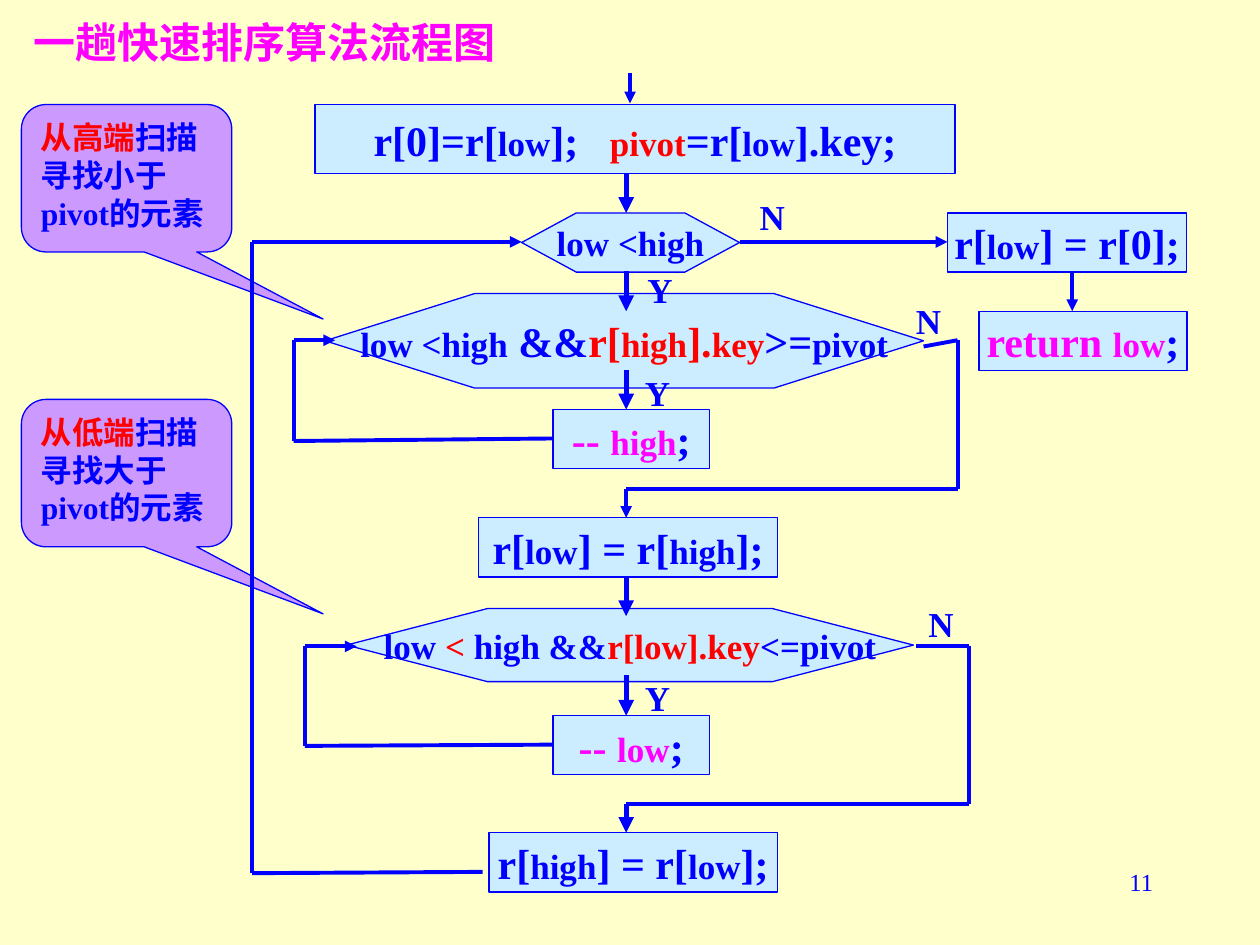
from lxml import etree
from pptx import Presentation
from pptx import util as u
from pptx.dml.color import RGBColor
from pptx.enum import shapes, text
from pptx.oxml.ns import qn

COLORS = {
    "page": "FFFFCC",
    "box": "CCECFF",
    "callout": "CC99FF",
    "blue": "0000FF",
    "red": "FF0000",
    "pink": "FF00FF",
}
FONT = "Times New Roman"
AXIS = 4.97
RECT = shapes.MSO_SHAPE.RECTANGLE
HEXAGON = shapes.MSO_SHAPE.HEXAGON
CALLOUT = shapes.MSO_SHAPE.ROUNDED_RECTANGULAR_CALLOUT
LEFT, CENTER, RIGHT = text.PP_ALIGN.LEFT, text.PP_ALIGN.CENTER, text.PP_ALIGN.RIGHT
TOP, MIDDLE = text.MSO_ANCHOR.TOP, text.MSO_ANCHOR.MIDDLE


def rgb(name):
    """Return the named palette colour."""
    return RGBColor.from_string(COLORS[name])


def inches(values):
    """Convert a sequence of numbers to lengths."""
    return [u.Inches(v) for v in values]


def write(sp, runs, align=LEFT, anchor=TOP, wrap=False, bold=True):
    """Fill a shape with runs of (text, size, colour[, letter spacing])."""
    tf = sp.text_frame
    tf.word_wrap = wrap
    tf.vertical_anchor = anchor
    p = tf.paragraphs[0]
    p.alignment = align
    for content, size, color, *spacing in runs:
        r = p.add_run()
        r.text = content
        r.font.name = FONT
        r.font.size = u.Pt(size)
        r.font.bold = bold
        r.font.color.rgb = rgb(color)
        if spacing:
            r._r.get_or_add_rPr().set("spc", str(spacing[0] * 100))


def add_node(s, kind, at, fill, adjustments=()):
    """Add a filled, thinly outlined shape."""
    sp = s.shapes.add_shape(kind, *inches(at))
    sp.shadow.inherit = False
    sp.fill.solid()
    sp.fill.fore_color.rgb = rgb(fill)
    sp.line.color.rgb = rgb("blue")
    sp.line.width = u.Pt(0.75)
    for i, value in enumerate(adjustments):
        sp.adjustments[i] = value
    return sp


def add_step(s, kind, at, runs, adjustments=()):
    """Add a flowchart step with centred text."""
    sp = add_node(s, kind, at, "box", adjustments)
    write(sp, runs, CENTER, MIDDLE)


def add_callout(s, top, end, relation):
    """Add a note about the scan starting at one end."""
    sp = add_node(s, CALLOUT, (0.17, top, 1.67, 1.17), "callout", (0.934, 0.955, 0.167))
    write(sp, [(f"从{end}端", 18, "red"), (f"扫描寻找{relation}于pivot的元素", 18, "blue")], wrap=True)


def add_label(s, at, runs, **style):
    """Add a text box."""
    write(s.shapes.add_textbox(*inches(at)), runs, **style)


def add_route(s, points, width=2.25, arrow=True):
    """Join points by straight lines, with an arrowhead at the last one."""
    for start, end in zip(points, points[1:]):
        c = s.shapes.add_connector(shapes.MSO_CONNECTOR.STRAIGHT, *inches(start + end))
        c.line.color.rgb = rgb("blue")
        c.line.width = u.Pt(width)
        if arrow and end == points[-1]:
            etree.SubElement(c.line._get_or_add_ln(), qn("a:tailEnd"), type="triangle")
        etree.SubElement(c._element.spPr, qn("a:effectLst"))


def add_steps(s):
    """Add every step of the flowchart."""
    add_step(s, RECT, (2.5, 0.83, 5.08, 0.55), [
        ("r[0]=r[", 24, "blue"), ("low", 20, "blue"), ("];", 24, "blue"),
        (" ", 24, "blue", 12), ("pivot", 20, "red"), ("=r[", 24, "blue"),
        ("low", 20, "blue"), ("].key;", 24, "blue")])
    add_step(s, HEXAGON, (4.14, 1.69, 1.73, 0.47), [("low <high", 20, "blue")], (0.924, 1.155))
    add_step(s, HEXAGON, (2.58, 2.33, 4.75, 0.75), [
        ("low <high", 20, "blue"), (" &&", 24, "blue"), ("r[", 24, "red"),
        ("high", 20, "red"), ("].", 24, "red"), ("key", 20, "red"),
        (">=", 24, "blue"), ("pivot", 20, "blue")], (1.583, 1.155))
    add_step(s, HEXAGON, (2.75, 4.83, 4.5, 0.58), [
        ("low", 20, "blue"), (" < ", 20, "red"), ("high &&", 20, "blue"),
        ("r[low].key", 20, "red"), ("<=pivot", 20, "blue")], (1.929, 1.155))
    for at, verb, name in [((4.39, 3.25, 1.24, 0.47), "-- ", "high"),
                           ((4.39, 5.68, 1.24, 0.47), "-- ", "low"),
                           ((7.77, 2.47, 1.65, 0.47), "return ", "low")]:
        add_step(s, RECT, at, [(verb, 24, "pink"), (name, 20, "pink"), (";", 24, "blue")])
    for at, target, source in [((3.8, 4.11, 2.37, 0.47), "low", "high"),
                               ((3.88, 6.61, 2.29, 0.47), "high", "low")]:
        add_step(s, RECT, at, [
            ("r[", 24, "blue"), (target, 20, "blue"), ("] = r[", 24, "blue"),
            (source, 20, "blue"), ("];", 24, "blue")])
    add_step(s, RECT, (7.52, 1.69, 1.9, 0.47), [
        ("r[", 24, "blue"), ("low", 20, "blue"), ("] = r[0];", 24, "blue")])


def add_routes(s):
    """Add the arrows between the steps."""
    for top, bottom in [(1.37, 1.69), (2.15, 2.47), (2.94, 3.25),
                        (4.58, 4.89), (5.36, 5.68), (6.38, 6.61)]:
        add_route(s, [(AXIS, top), (AXIS, bottom)], width=3)
    for points in [
        [(5, 0.58), (5, 0.82)],
        [(5.87, 1.92), (7.52, 1.92)],
        [(8.51, 2.15), (8.51, 2.47)],
        [(4.39, 3.48), (2.33, 3.5), (2.33, 2.7), (2.66, 2.7)],
        [(4.39, 5.91), (2.42, 5.92), (2.42, 5.13), (2.83, 5.13)],
        [(3.83, 6.92), (2, 6.93), (2, 1.92), (4.14, 1.92)],
        [(7.33, 2.75), (7.6, 2.7), (7.6, 3.88), (AXIS, 3.88), (AXIS, 4.11)],
    ]:
        add_route(s, points)
    add_route(s, [(7.27, 5.13), (7.69, 5.13), (7.69, 6.38), (AXIS, 6.38)], arrow=False)


def main():
    """Build the quicksort partition flowchart."""
    prs = Presentation()
    prs.slide_width, prs.slide_height = u.Inches(10), u.Inches(7.5)
    s = prs.slides.add_slide(prs.slide_layouts[6])
    s.background.fill.solid()
    s.background.fill.fore_color.rgb = rgb("page")

    add_callout(s, 0.83, "高", "小")
    add_callout(s, 3.17, "低", "大")
    add_label(s, (0.17, 0.08, 8.5, 0.5), [("一趟快速排序算法流程图", 24, "pink")],
              anchor=MIDDLE, wrap=True)
    add_steps(s)
    add_routes(s)
    for answer, left, top in [("Y", 5.04, 2.08), ("Y", 5.02, 2.9), ("Y", 5.02, 5.32),
                              ("N", 5.93, 1.5), ("N", 7.17, 2.33), ("N", 7.27, 4.73)]:
        add_label(s, (left, top, 0.4, 0.44), [(answer, 20, "blue")])
    add_label(s, (7.17, 6.83, 2.08, 0.5), [("11", 14, "blue")],
              align=RIGHT, wrap=True, bold=False)
    prs.save("out.pptx")


if __name__ == "__main__":
    main()
